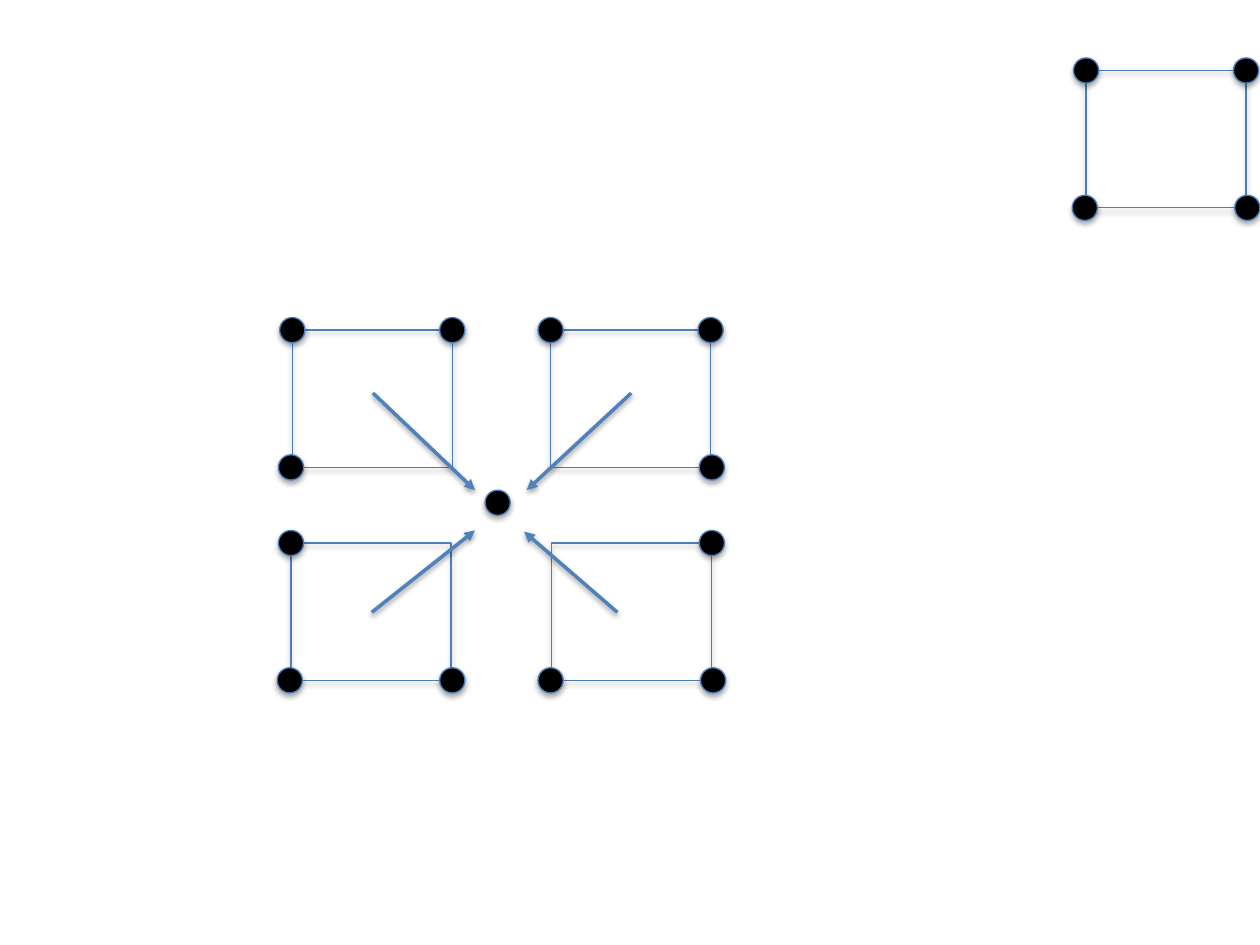
from lxml.etree import SubElement
from pptx import Presentation
from pptx.dml.color import RGBColor
from pptx.enum.shapes import MSO_CONNECTOR as Connector, MSO_SHAPE as Shape
from pptx.oxml.ns import qn
from pptx.util import Inches, Pt

OUTLINE = "4B7EBC"
ARROW = "4F81BD"
DOT = "000000"

CELL_WIDTH, CELL_HEIGHT = 1.27, 1.09
DOT_SIZE = 0.2
BOTTOM_SPREAD = 0.01  # the lower dots sit slightly outside the corners

# Dot centres relative to the top left of a cell
CORNERS = {
    "top left": (0, 0),
    "bottom left": (-BOTTOM_SPREAD, CELL_HEIGHT),
    "top right": (CELL_WIDTH, 0),
    "bottom right": (CELL_WIDTH + BOTTOM_SPREAD, CELL_HEIGHT),
}

# Left, top and the corner without a dot; the cells around the centre share one
CELLS = [
    (2.32, 2.62, "bottom right"),
    (8.62, 0.56, None),
    (4.38, 4.31, "top left"),
    (2.31, 4.31, "top right"),
    (4.37, 2.62, "bottom left"),
]
SHARED_DOT = (3.95, 3.99)

ARROWS = [
    ((2.96, 3.12), (3.77, 3.89)),
    ((5.01, 3.12), (4.18, 3.89)),
    ((2.95, 4.86), (3.77, 4.21)),
    ((4.9, 4.86), (4.16, 4.22)),
]


def paint_line(line, color, width):
    line.color.rgb = RGBColor.from_string(color)
    line.width = Pt(width)


def add_dot(shapes, center_x, center_y):
    dot = shapes.add_shape(
        Shape.OVAL,
        Inches(center_x - DOT_SIZE / 2), Inches(center_y - DOT_SIZE / 2),
        Inches(DOT_SIZE), Inches(DOT_SIZE),
    )
    dot.fill.solid()
    dot.fill.fore_color.rgb = RGBColor.from_string(DOT)
    paint_line(dot.line, OUTLINE, 0.75)


def add_cell(slide, left, top, open_corner):
    """Group a rectangle with a dot on every corner except open_corner."""
    shapes = slide.shapes.add_group_shape().shapes
    frame = shapes.add_shape(
        Shape.RECTANGLE, Inches(left), Inches(top),
        Inches(CELL_WIDTH), Inches(CELL_HEIGHT),
    )
    frame.fill.background()
    paint_line(frame.line, OUTLINE, 0.75)
    for corner, (offset_x, offset_y) in CORNERS.items():
        if corner != open_corner:
            add_dot(shapes, left + offset_x, top + offset_y)


def add_arrow(slide, start, end):
    points = [Inches(value) for value in (*start, *end)]
    arrow = slide.shapes.add_connector(Connector.STRAIGHT, *points)
    paint_line(arrow.line, ARROW, 2)
    SubElement(arrow.line._get_or_add_ln(), qn("a:tailEnd"), type="triangle")


def main():
    presentation = Presentation()
    presentation.slide_width = Inches(10)
    presentation.slide_height = Inches(7.5)
    slide = presentation.slides.add_slide(presentation.slide_layouts[6])

    # Dots, frames and arrows keep the soft shadow of the theme
    add_dot(slide.shapes, *SHARED_DOT)
    for left, top, open_corner in CELLS:
        add_cell(slide, left, top, open_corner)
    for start, end in ARROWS:
        add_arrow(slide, start, end)

    presentation.save("out.pptx")


if __name__ == "__main__":
    main()
